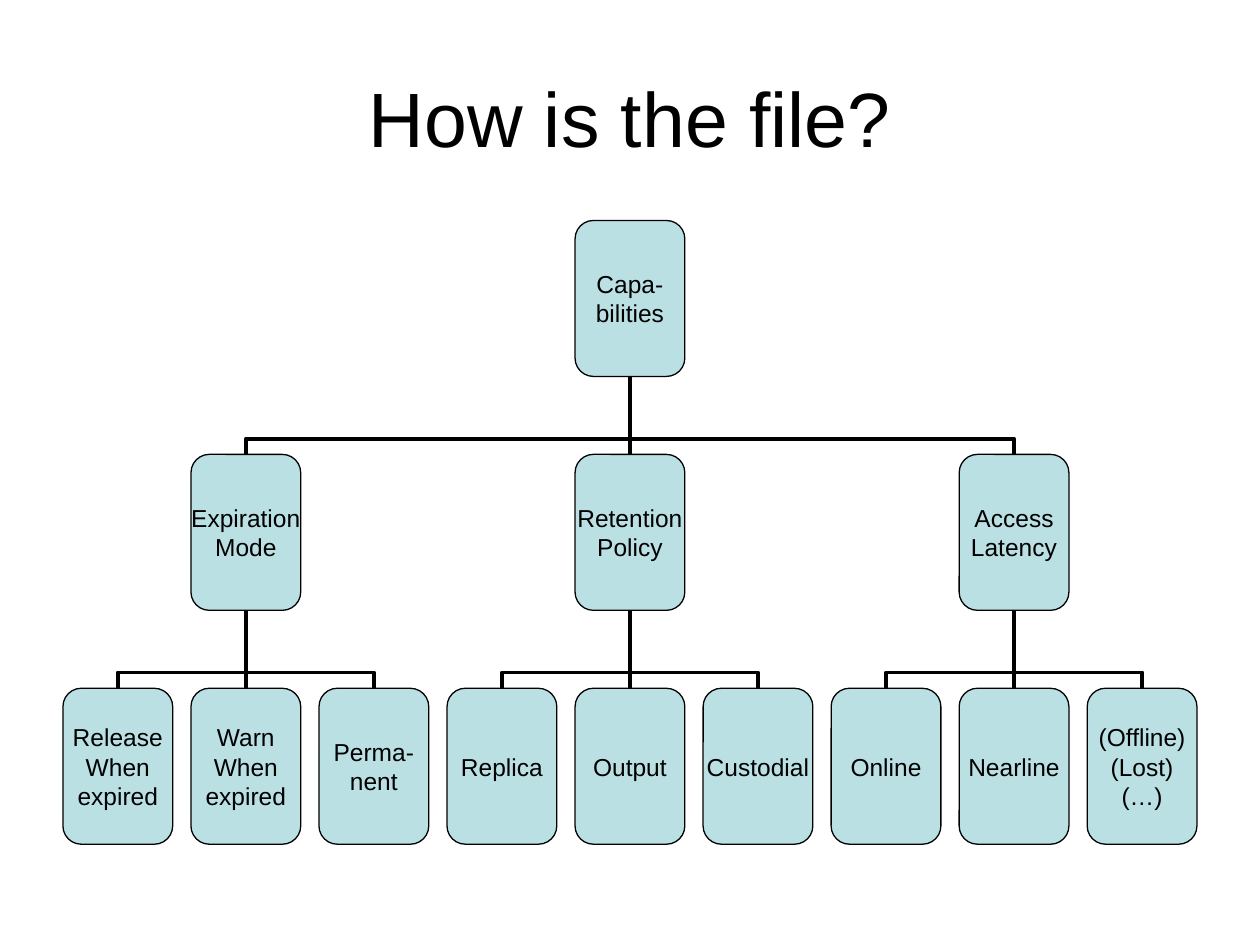
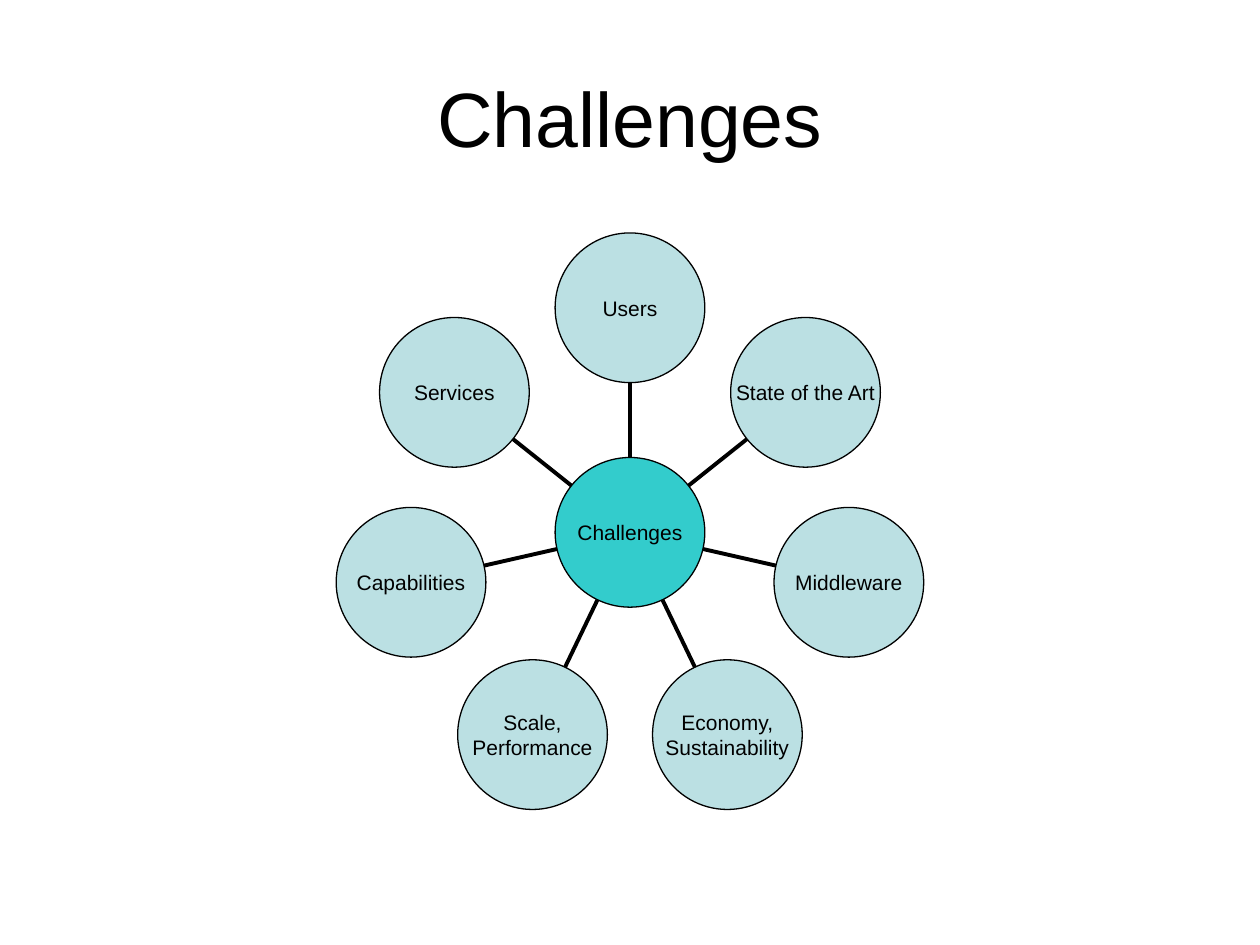
from collections import namedtuple
from math import cos, pi, sin

from lxml.etree import SubElement
from pptx import Presentation
from pptx.dml.color import RGBColor
from pptx.enum.shapes import MSO_CONNECTOR as Link, MSO_SHAPE as Preset
from pptx.enum.text import MSO_ANCHOR as Anchor, PP_ALIGN as Align
from pptx.oxml.ns import qn
from pptx.util import Inches, Pt

Box = namedtuple("Box", "left top width height")

WIDTH, HEIGHT = 10, 7.5
COLORS = {"ink": "000000", "pale": "BBE0E3", "teal": "33CCCC"}
FONT = "Arial"
TITLE_BOX = Box(0.05 * WIDTH, 0.04 * HEIGHT, 0.9 * WIDTH, HEIGHT / 6)
DIAGRAM_BOX = Box(0.05 * WIDTH, 1.75, 0.9 * WIDTH, 0.66 * HEIGHT)

CAPABILITIES = ("Capa-\nbilities", [
    ("Expiration\nMode", ["Release\nWhen\nexpired", "Warn\nWhen\nexpired", "Perma-\nnent"]),
    ("Retention\nPolicy", ["Replica", "Output", "Custodial"]),
    ("Access\nLatency", ["Online", "Nearline", "(Offline)\n(Lost)\n(…)"]),
])
CHALLENGES = ("Challenges", [
    "Users", "State of the Art", "Middleware", "Economy,\nSustainability",
    "Scale,\nPerformance", "Capabilities", "Services",
])


def color(name):
    return RGBColor.from_string(COLORS[name])


def write(shape, text, size):
    frame = shape.text_frame
    frame.vertical_anchor = Anchor.MIDDLE
    for index, line in enumerate(text.split("\n")):
        para = frame.add_paragraph() if index else frame.paragraphs[0]
        para.alignment = Align.CENTER
        span = para.add_run()
        span.text = line
        span.font.name = FONT
        span.font.size = Pt(size)
        span.font.color.rgb = color("ink")
    return frame


def add_title(page, box, text):
    title = page.shapes.add_textbox(*map(Inches, box))
    write(title, text, 44).word_wrap = True


def add_node(page, preset, box, text, size, fill="pale"):
    node = page.shapes.add_shape(preset, *map(Inches, box))
    node.shadow.inherit = False
    node.fill.solid()
    node.fill.fore_color.rgb = color(fill)
    node.line.color.rgb = color("ink")
    node.line.width = Pt(0.75)
    frame = write(node, text, size)
    frame.word_wrap = False
    frame.margin_left = frame.margin_right = 0
    frame.margin_top = frame.margin_bottom = 0


def add_line(page, start, end, kind=Link.STRAIGHT):
    line = page.shapes.add_connector(kind, *map(Inches, (*start, *end)))
    line.line.color.rgb = color("ink")
    line.line.width = Pt(2.25)
    SubElement(line.element.spPr, qn("a:effectLst"))
    return line


def add_branch(page, child, parent):
    start = (child.left + child.width / 2, child.top)
    end = (parent.left + parent.width / 2, parent.top + parent.height)
    offset = start[0] - end[0]
    if abs(offset) < 0.01:
        add_line(page, start, end)
        return
    side = 1 if offset > 0 else -1
    mid_x, mid_y = (start[0] + end[0]) / 2, (start[1] + end[1]) / 2
    reach, spread = side * (start[1] - end[1]) / 2, abs(offset) / 2
    elbow = add_line(page, (mid_x - reach, mid_y + spread),
                     (mid_x + reach, mid_y - spread), Link.ELBOW)
    properties = elbow.element.spPr
    properties.find(qn("a:xfrm")).set("rot", str((180 + side * 90) * 60000))
    guides = properties.find(qn("a:prstGeom")).find(qn("a:avLst"))
    SubElement(guides, qn("a:gd"), name="adj1", fmla="val 20200")


def add_tree(page, box, tree):
    column, row = box.width / 62, box.height / 8

    def card(position, level):
        return Box(box.left + 7 * column * position, box.top + 3 * row * level,
                   6 * column, 2 * row)

    root, branches = tree
    root_card = card(4, 0)
    cards, links = [(root_card, root)], []
    for index, (name, leaves) in enumerate(branches):
        branch_card = card(3 * index + 1, 1)
        cards.append((branch_card, name))
        links.append((branch_card, root_card))
        for place, leaf in enumerate(leaves):
            leaf_card = card(3 * index + place, 2)
            cards.append((leaf_card, leaf))
            links.append((leaf_card, branch_card))
    for child, parent in links:
        add_branch(page, child, parent)
    for place, text in cards:
        add_node(page, Preset.ROUNDED_RECTANGLE, place, text, 14)


def add_wheel(page, box, wheel):
    hub, topics = wheel
    diameter = 0.24 * box.height
    center_x, center_y = box.left + box.width / 2, box.top + box.height / 2

    def polar(angle, distance):
        return center_x + distance * sin(angle), center_y - distance * cos(angle)

    def circle(x, y):
        return Box(x - diameter / 2, y - diameter / 2, diameter, diameter)

    for index, topic in reversed(list(enumerate(topics))):
        angle = 2 * pi * index / len(topics)
        add_line(page, polar(angle, diameter / 2), polar(angle, diameter))
        add_node(page, Preset.OVAL, circle(*polar(angle, 1.5 * diameter)), topic, 12)
    add_node(page, Preset.OVAL, circle(center_x, center_y), hub, 12, "teal")


def main():
    deck = Presentation()
    deck.slide_width, deck.slide_height = Inches(WIDTH), Inches(HEIGHT)
    for title, draw, content in [
        ("How is the file?", add_tree, CAPABILITIES),
        ("Challenges", add_wheel, CHALLENGES),
    ]:
        page = deck.slides.add_slide(deck.slide_layouts[6])
        add_title(page, TITLE_BOX, title)
        draw(page, DIAGRAM_BOX, content)
    deck.save("out.pptx")


if __name__ == "__main__":
    main()
